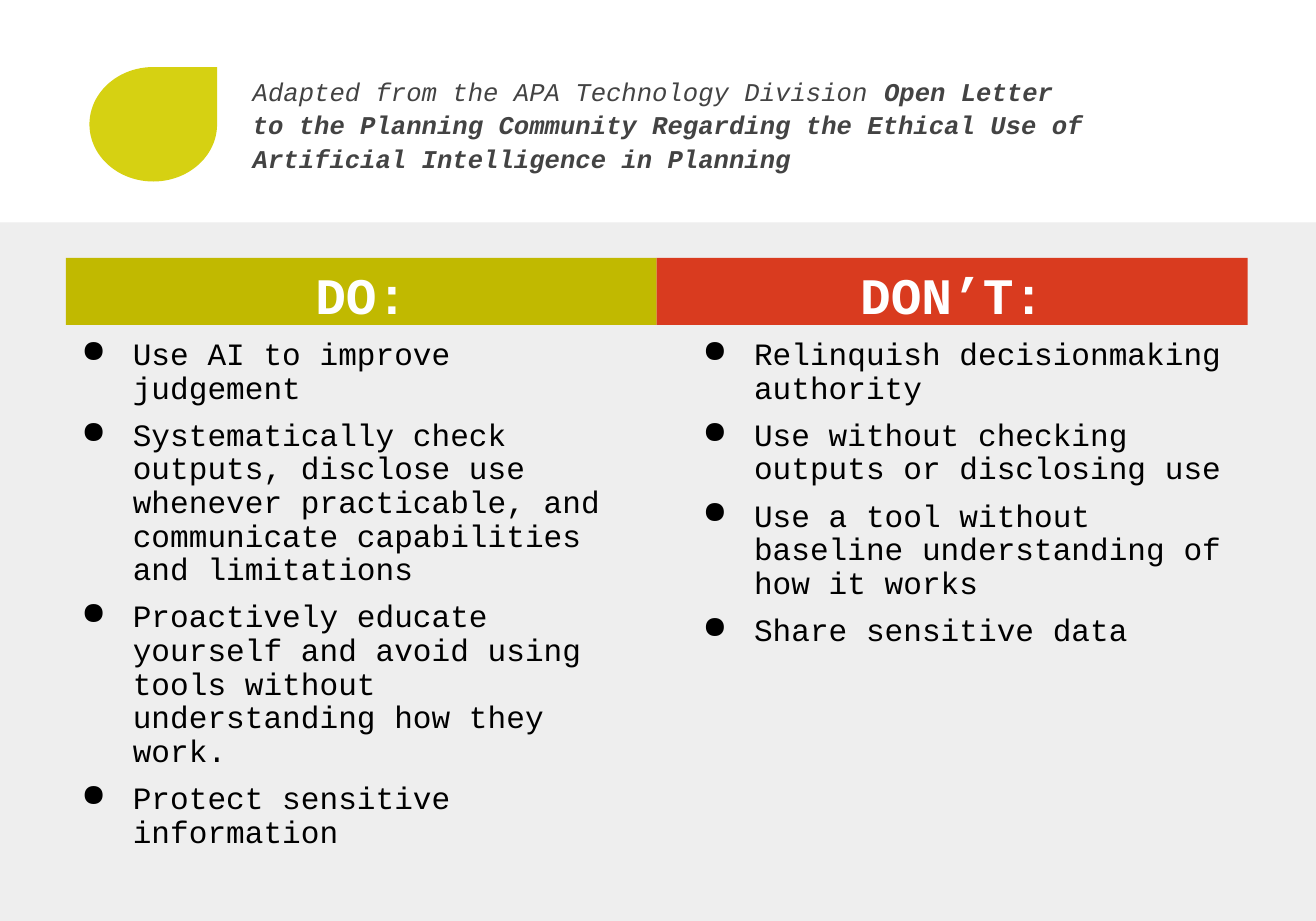
from lxml import etree
from pptx import Presentation
from pptx.dml.color import RGBColor
from pptx.enum.shapes import MSO_SHAPE
from pptx.enum.text import MSO_ANCHOR, PP_ALIGN
from pptx.oxml.ns import qn
from pptx.util import Pt

PX = 9144  # 100 px to the inch
FONT = "Courier New"
WHITE = RGBColor(0xFF, 0xFF, 0xFF)
BLACK = RGBColor(0, 0, 0)
GRAY = RGBColor(0x43, 0x43, 0x43)
PANEL = RGBColor(0xEE, 0xEE, 0xEE)
LIME = RGBColor(0xD6, 0xD1, 0x12)
OLIVE = RGBColor(0xC1, 0xB9, 0x00)
RED = RGBColor(0xD9, 0x3B, 0x1F)
RECTANGLE, TEARDROP = MSO_SHAPE.RECTANGLE, MSO_SHAPE.TEAR
TOP, BOTTOM = MSO_ANCHOR.TOP, MSO_ANCHOR.BOTTOM
CENTER = PP_ALIGN.CENTER

DOS = [
    "Use AI to improve judgement",
    "Systematically check outputs, disclose use whenever practicable, "
    "and communicate capabilities and limitations",
    "Proactively educate yourself and avoid using tools without "
    "understanding how they work.",
    "Protect sensitive information",
]
DONTS = [
    "Relinquish decisionmaking authority",
    "Use without checking outputs or disclosing use",
    "Use a tool without baseline understanding of how it works",
    "Share sensitive data",
]


def emu(*lengths):
    return [length * PX for length in lengths]


def add_block(slide, preset, box, fill):
    block = slide.shapes.add_shape(preset, *emu(*box))
    block.shadow.inherit = False
    block.fill.solid()
    block.fill.fore_color.rgb = fill
    block.line.fill.background()
    return block


def prepare_frame(shape, inset_top=0, anchor=TOP):
    frame = shape.text_frame
    frame.word_wrap = True
    frame.margin_left = frame.margin_right = frame.margin_bottom = 0
    frame.margin_top = inset_top * PX
    frame.vertical_anchor = anchor
    return frame


def add_run(paragraph, text, size, color, bold=False, italic=False):
    run = paragraph.add_run()
    run.text = text
    font = run.font
    font.name, font.size, font.bold, font.italic = FONT, Pt(size), bold, italic
    font.color.rgb = color


def add_bullet(paragraph, indent, hang):
    properties = paragraph._p.get_or_add_pPr()
    properties.set("marL", str(indent * PX))
    properties.set("indent", str(-hang * PX))
    etree.SubElement(properties, qn("a:buChar")).set("char", "●")


def add_source_header(slide, left, top):
    add_block(slide, TEARDROP, (left, top, 97, 87), LIME)
    source = slide.shapes.add_textbox(*emu(left + 124, top + 3, 635, 78))
    paragraph = prepare_frame(source, 2).paragraphs[0]
    paragraph.line_spacing = 1.08
    add_run(paragraph, "Adapted from the APA Technology Division ", 14, GRAY, italic=True)
    add_run(paragraph, "Open Letter to the Planning Community Regarding the Ethical Use of "
            "Artificial Intelligence in Planning", 14, GRAY, bold=True, italic=True)


def add_heading(slide, box, title, fill):
    heading = add_block(slide, RECTANGLE, box, fill)
    paragraph = prepare_frame(heading, anchor=BOTTOM).paragraphs[0]
    paragraph.alignment = CENTER
    add_run(paragraph, title, 28, WHITE, bold=True)


def add_advice_list(slide, box, items):
    frame = prepare_frame(slide.shapes.add_textbox(*emu(*box)), 7)
    for index, item in enumerate(items):
        paragraph = frame.paragraphs[0] if index == 0 else frame.add_paragraph()
        add_bullet(paragraph, 41, 39)
        paragraph.line_spacing = Pt(18.4)
        if index:
            paragraph.space_before = Pt(7.4)
        add_run(paragraph, item, 17, BLACK)


def add_advice_panel(slide, left, top, width, height):
    add_block(slide, RECTANGLE, (left, top, width, height), PANEL)
    columns = [("DO:", OLIVE, DOS, 60), ("DON’T:", RED, DONTS, 532)]
    for index, (title, fill, items, list_left) in enumerate(columns):
        heading_left = left + 50 + index * 449
        add_heading(slide, (heading_left, top + 27, 449, 51), title, fill)
        add_advice_list(slide, (left + list_left, top + 81, 400, 394), items)


def main():
    deck = Presentation()
    deck.slide_width, deck.slide_height = emu(1000, 700)
    slide = deck.slides.add_slide(deck.slide_layouts[6])
    add_source_header(slide, 68, 51)
    add_advice_panel(slide, 0, 169, 1000, 531)
    deck.save("out.pptx")


if __name__ == "__main__":
    main()
